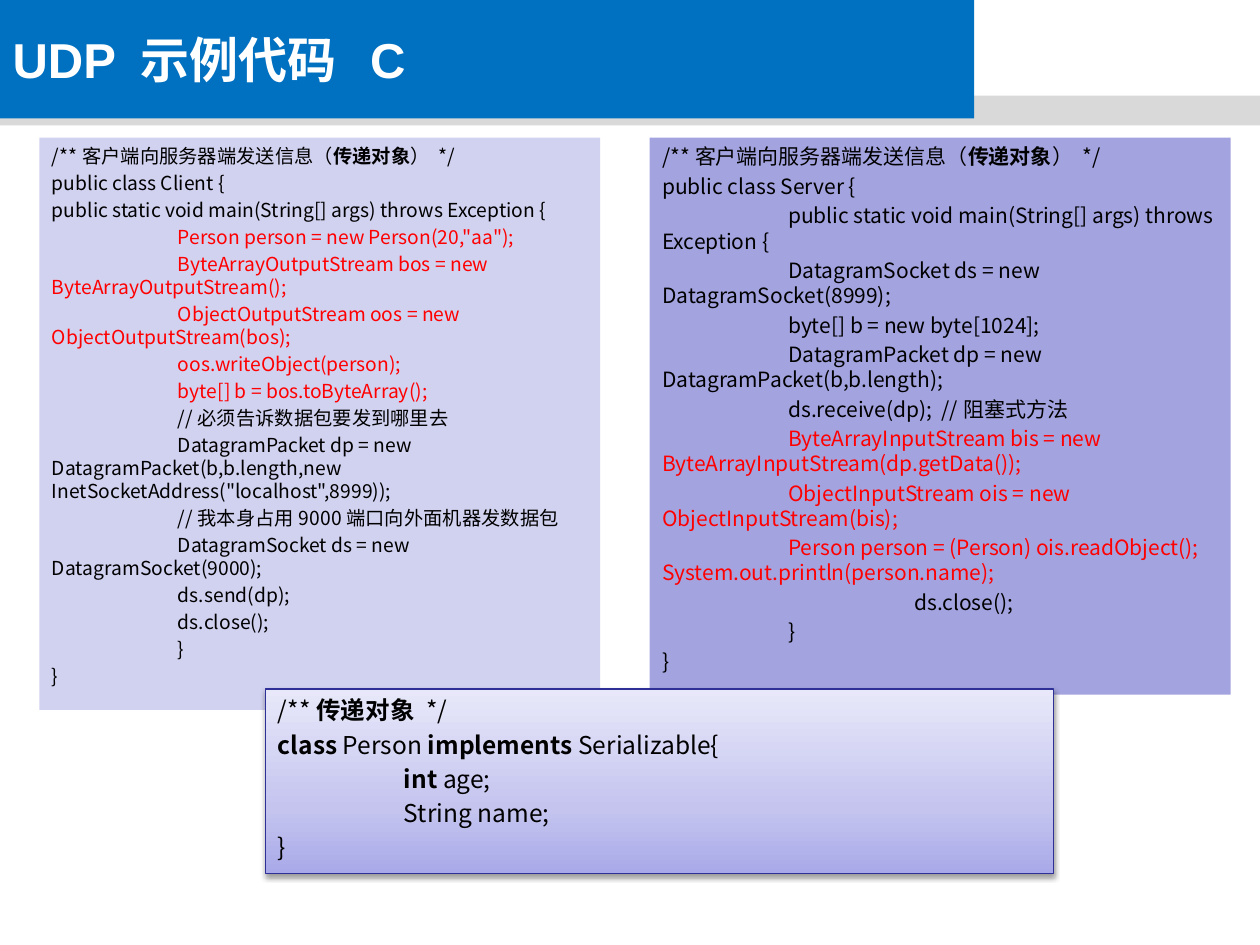
from lxml import etree
from pptx import Presentation
from pptx import util as u
from pptx.dml.color import RGBColor
from pptx.enum import shapes, text
from pptx.oxml.ns import qn

Pt = u.Pt
BLUE = RGBColor(0x00, 0x70, 0xC0)
GREY = RGBColor(0xD9, 0xD9, 0xD9)
PALE = RGBColor(0xD1, 0xD1, 0xF0)
LILAC = RGBColor(0xA3, 0xA3, 0xE0)
NAVY = RGBColor(0x2F, 0x2F, 0x98)
LIGHT = RGBColor(0xE8, 0xE8, 0xFA)
MID = RGBColor(0xC4, 0xC4, 0xEF)
DEEP = RGBColor(0xA9, 0xA9, 0xE9)
WHITE = RGBColor(0xFF, 0xFF, 0xFF)
BLACK = RGBColor(0x00, 0x00, 0x00)
RED = RGBColor(0xFF, 0x00, 0x00)
SANS = "Arial"
CODE = "Noto Sans CJK SC"

# Each block is a list of (colour, lines); "|" switches bold on and off.
CLIENT = [
    (BLACK, ["/**客户端向服务器端发送信息（|传递对象|） */",
             "public class Client {",
             "public static void main(String[] args) throws Exception {"]),
    (RED, ['\tPerson person = new Person(20,"aa");',
           "\tByteArrayOutputStream bos = new ByteArrayOutputStream();",
           "\tObjectOutputStream oos = new ObjectOutputStream(bos);",
           "\toos.writeObject(person);",
           "\tbyte[] b = bos.toByteArray();"]),
    (BLACK, ["\t//必须告诉数据包要发到哪里去",
             "\tDatagramPacket dp = new DatagramPacket(b,b.length,new "
             'InetSocketAddress("localhost",8999));',
             "\t//我本身占用9000端口向外面机器发数据包",
             "\tDatagramSocket ds = new DatagramSocket(9000);",
             "\tds.send(dp);", "\tds.close();", "\t}", "}"]),
]
SERVER = [
    (BLACK, ["/**客户端向服务器端发送信息（|传递对象|） */",
             "public class Server {",
             "\tpublic static void main(String[] args) throws Exception {",
             "\tDatagramSocket ds = new DatagramSocket(8999);",
             "\tbyte[] b = new byte[1024];",
             "\tDatagramPacket dp = new DatagramPacket(b,b.length);",
             "\tds.receive(dp);  //阻塞式方法"]),
    (RED, ["\tByteArrayInputStream bis = new "
           "ByteArrayInputStream(dp.getData());",
           "\tObjectInputStream ois = new ObjectInputStream(bis);",
           "\tPerson person = (Person) ois.readObject();"
           "\tSystem.out.println(person.name);"]),
    (BLACK, ["\t\tds.close();", "\t}", "}"]),
]
PERSON = [
    (BLACK, ["/**|传递对象 |*/",
             "|class| Person |implements |Serializable{",
             "\t|int| age;", "\tString name;", "}"]),
]


def write(para, words, *, size, color, font, bold=False):
    """Add words to para, switching bold at each bar."""
    for i, part in enumerate(words.split("|")):
        if not part:
            continue
        run = para.add_run()
        run.text = part
        run.font.size = Pt(size)
        run.font.name = font
        run.font.bold = bold or i % 2 == 1
        run.font.color.rgb = color
        etree.SubElement(run.font._element, qn("a:ea"), typeface=CODE)


def place(shape, box):
    shape.left, shape.top, shape.width, shape.height = map(Pt, box)


def paint(shape, color):
    shape.fill.solid()
    shape.fill.fore_color.rgb = color


class Deck:
    def __init__(self):
        self.show = Presentation()
        self.show.slide_width, self.show.slide_height = Pt(720), Pt(540)
        self.slide = self.show.slides.add_slide(self.show.slide_layouts[3])
        self.title, *self.bodies = self.slide.placeholders

    def rect(self, box):
        shape = self.slide.shapes.add_shape(
            shapes.MSO_SHAPE.RECTANGLE, *map(Pt, box))
        shape.shadow.inherit = False
        return shape

    def band(self, box, color):
        """Draw a plain bar behind everything else."""
        shape = self.rect(box)
        paint(shape, color)
        shape.line.fill.background()
        self.slide.shapes._spTree.insert(2, shape._element)

    def head(self, words, box):
        place(self.title, box)
        paint(self.title, BLUE)
        frame = self.title.text_frame
        frame.auto_size = text.MSO_AUTO_SIZE.NONE
        frame.vertical_anchor = text.MSO_ANCHOR.MIDDLE
        para = frame.paragraphs[0]
        para.alignment = text.PP_ALIGN.LEFT
        write(para, words, size=28, color=WHITE, font=SANS, bold=True)

    def code(self, shape, block, size):
        frame = shape.text_frame
        frame.word_wrap = True
        frame.auto_size = text.MSO_AUTO_SIZE.NONE
        frame.vertical_anchor = text.MSO_ANCHOR.TOP
        lines = [(color, line) for color, group in block for line in group]
        for i, (color, line) in enumerate(lines):
            para = frame.add_paragraph() if i else frame.paragraphs[0]
            para.alignment = text.PP_ALIGN.LEFT
            para.line_spacing = Pt(1.2 * size)
            para.space_before = Pt(0.2 * size)
            props = para._p.get_or_add_pPr()
            props.set("marL", "0")
            props.set("indent", "0")
            props.set("defTabSz", str(Pt(72)))
            etree.SubElement(props, qn("a:buNone"))
            write(para, line, size=size, color=color, font=CODE)

    def panel(self, index, block, box, color, size):
        shape = self.bodies[index]
        place(shape, box)
        paint(shape, color)
        self.code(shape, block, size)

    def card(self, block, box, size):
        """Draw a shaded, outlined box with a soft shadow."""
        shape = self.rect(box)
        shape.fill.gradient()
        shape.fill.gradient_angle = 90
        stops = shape._element.spPr.find(".//" + qn("a:gsLst"))
        for old in list(stops):
            stops.remove(old)
        for at, color in ((0, DEEP), (35, MID), (100, LIGHT)):
            stop = etree.SubElement(stops, qn("a:gs"), pos=str(at * 1000))
            etree.SubElement(stop, qn("a:srgbClr"), val=str(color))
        shape.line.color.rgb = NAVY
        shape.line.width = Pt(0.75)
        effects = shape._element.spPr.find(qn("a:effectLst"))
        shade = etree.SubElement(
            effects, qn("a:outerShdw"), blurRad=str(Pt(3.1)),
            dist=str(Pt(1.6)), dir="5400000", rotWithShape="0")
        tint = etree.SubElement(shade, qn("a:srgbClr"), val=str(BLACK))
        etree.SubElement(tint, qn("a:alpha"), val="38000")
        self.code(shape, block, size)


def main():
    deck = Deck()
    deck.band((0, 54.7, 720, 17), GREY)
    deck.head("UDP 示例代码  C", (0, 0, 556.6, 67.7))
    deck.panel(0, CLIENT, (22.5, 78.7, 320.5, 327), PALE, 11)
    deck.panel(1, SERVER, (371.2, 78.7, 332, 318.3), LILAC, 12)
    deck.card(PERSON, (151.8, 393.7, 450.2, 105.6), 14)
    deck.show.save("out.pptx")


if __name__ == "__main__":
    main()
